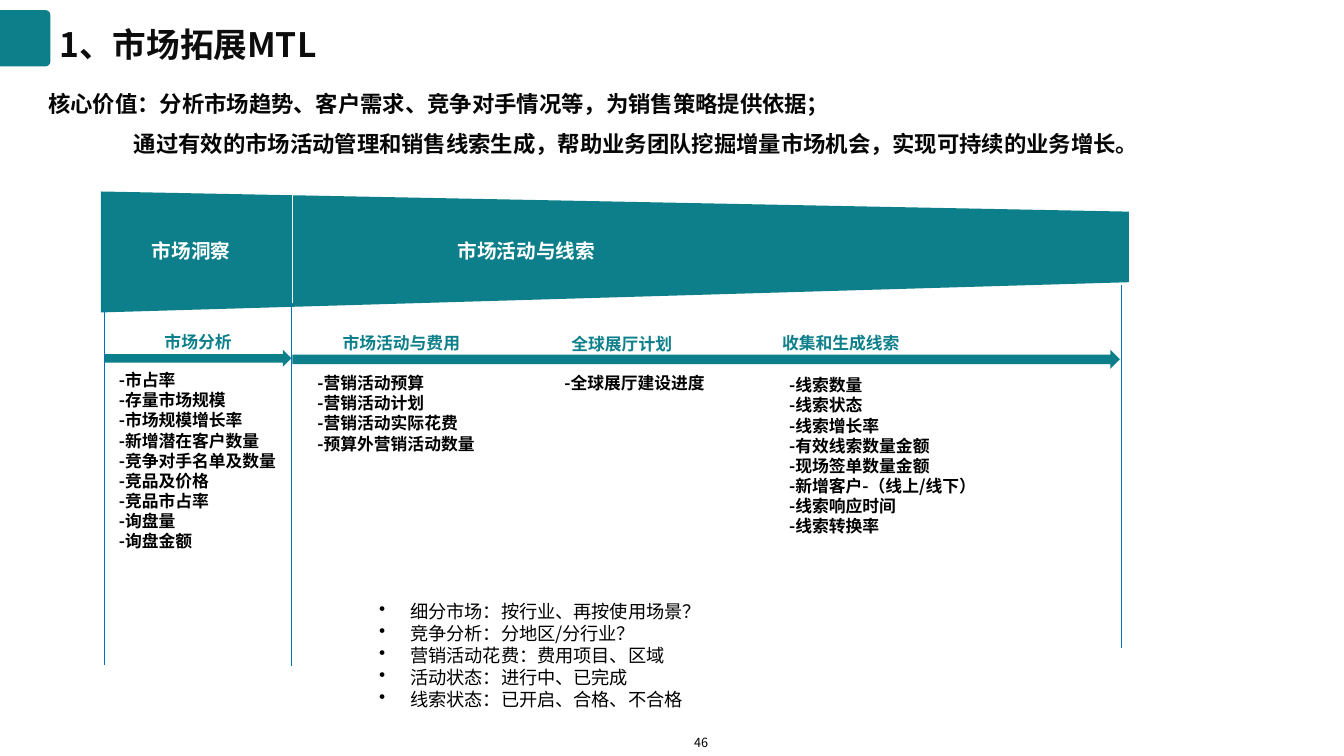
from dataclasses import dataclass, field

from lxml.etree import SubElement
from pptx import Presentation
from pptx.dml.color import RGBColor
from pptx.enum.shapes import MSO_CONNECTOR as Connector, MSO_SHAPE as Preset
from pptx.enum.text import MSO_ANCHOR as Anchor, PP_ALIGN as Align
from pptx.oxml.ns import qn
from pptx.util import Inches, Pt

CELL = Inches(0.1)  # side of one grid cell; all positions count cells
COLUMNS, ROWS = 133.33, 75
FONT = "Noto Sans CJK SC"
TEAL, WHITE, BLACK, BLUE = "0C7F8A", "FFFFFF", "000000", "0070C0"
Area = tuple[float, float, float, float]  # left, top, width, height


@dataclass
class TextBlock:
    area: Area
    lines: list[str]
    size: float
    color: str = BLACK
    bold: bool = True
    para_format: dict = field(default_factory=dict)
    frame_format: dict = field(default_factory=dict)
    indents: tuple[float, ...] = ()
    bullet: str = ""


@dataclass
class Topic:
    title: str
    title_area: Area
    items: list[str]
    items_area: Area
    align: Align = Align.LEFT


@dataclass
class Rule:
    x: float
    top: float
    bottom: float
    color: str = BLUE


NO_MARGINS = dict.fromkeys(
    ("margin_left", "margin_top", "margin_right", "margin_bottom"), 0)

TEXTS = [
    TextBlock((5.9, 1, 116.2, 5.6), ["1、市场拓展MTL"], 24, "0D0D0D",
              para_format={"line_spacing": 1.3},
              frame_format=NO_MARGINS | {"vertical_anchor": Anchor.MIDDLE}),
    TextBlock((3.8, 7.1, 126.9, 9.1),
              ["核心价值：分析市场趋势、客户需求、竞争对手情况等，为销售策略提供依据；",
               "通过有效的市场活动管理和销售线索生成，帮助业务团队挖掘增量市场机会，实现可持续的业务增长。"],
              16, "060607", para_format={"line_spacing": 1.5}, indents=(0, 8.5)),
    TextBlock((14.1, 23.2, 11, 3.4), ["市场洞察"], 14, WHITE),
    TextBlock((44.4, 23.2, 22.2, 3.4), ["市场活动与线索"], 14, WHITE),
    TextBlock((37.6, 59.6, 51.8, 10.9),
              ["细分市场：按行业、再按使用场景？", "竞争分析：分地区/分行业？",
               "营销活动花费：费用项目、区域", "活动状态：进行中、已完成",
               "线索状态：已开启、合格、不合格"],
              13, bold=False, frame_format=NO_MARGINS, bullet="•"),
    TextBlock((66.5, 72.4, 6.1, 2.5), ["46"], 9, bold=False,
              para_format={"alignment": Align.CENTER},
              frame_format={"margin_left": Inches(0.04), "margin_right": Inches(0.04)}),
]

TOPICS = [
    Topic("市场分析", (12.4, 32.4, 14.5, 3),
          ["市占率", "存量市场规模", "市场规模增长率", "新增潜在客户数量",
           "竞争对手名单及数量", "竞品及价格", "竞品市占率", "询盘量", "询盘金额"],
          (10.8, 36.2, 21.1, 19.2), Align.CENTER),
    Topic("市场活动与费用", (33, 32.5, 14.5, 3),
          ["营销活动预算", "营销活动计划", "营销活动实际花费", "预算外营销活动数量"],
          (30.5, 36.5, 20, 9.1)),
    Topic("全球展厅计划", (55.7, 32.6, 14.5, 3), ["全球展厅建设进度"],
          (55, 36.5, 20, 3)),
    Topic("收集和生成线索", (76.6, 32.5, 14.5, 3),
          ["线索数量", "线索状态", "线索增长率", "有效线索数量金额", "现场签单数量金额",
           "新增客户-（线上/线下）", "线索响应时间", "线索转换率"],
          (77.3, 36.7, 21.6, 19.2)),
]

FUNNEL = [(10.4, 18.9), (111.5, 21.3), (111.5, 28.5), (10.4, 30.9)]
ARROWS = [(10.4, 34.7, 18.5, 1.7), (29, 34.7, 82.1, 1.9)]
RULES = [Rule(28.9, 30.1, 66.1), Rule(10.4, 30.9, 66),
         Rule(29, 18.9, 30.1, WHITE), Rule(111.3, 28.3, 64.3)]


def cells(*counts: float) -> list[int]:
    """Turn grid counts into lengths."""
    return [round(count * CELL) for count in counts]


def rgb(color: str) -> RGBColor:
    return RGBColor.from_string(color)


def apply(target, values: dict) -> None:
    for name, value in values.items():
        setattr(target, name, value)


def paint(shape, color: str = TEAL) -> None:
    shape.shadow.inherit = False
    shape.fill.solid()
    shape.fill.fore_color.rgb = rgb(color)
    shape.line.fill.background()


def draw_shape(page, preset: Preset, area: Area):
    shape = page.shapes.add_shape(preset, *cells(*area))
    paint(shape)
    return shape


def draw_funnel(page) -> None:
    builder = page.shapes.build_freeform(*FUNNEL[0], scale=CELL)
    builder.add_line_segments(FUNNEL[1:], close=True)
    paint(builder.convert_to_shape())


def draw_rule(page, rule: Rule) -> None:
    line = page.shapes.add_connector(
        Connector.STRAIGHT, *cells(rule.x, rule.top, rule.x, rule.bottom))
    line.line.color.rgb = rgb(rule.color)
    line.line.width = Pt(0.75)
    SubElement(line._element.spPr, qn("a:effectLst"))


def draw_text(page, block: TextBlock) -> None:
    box = page.shapes.add_textbox(*cells(*block.area))
    frame = box.text_frame
    apply(frame, {"word_wrap": True} | block.frame_format)
    for index, line in enumerate(block.lines):
        para = frame.paragraphs[0] if index == 0 else frame.add_paragraph()
        properties = para._p.get_or_add_pPr()
        if block.bullet:
            properties.set("marL", str(Inches(0.31)))
            properties.set("indent", str(-Inches(0.31)))
            SubElement(properties, qn("a:buChar"), char=block.bullet)
        elif block.indents:
            properties.set("indent", str(cells(block.indents[index])[0]))
        apply(para, block.para_format)
        span = para.add_run()
        span.text = line
        apply(span.font, {"name": FONT, "size": Pt(block.size), "bold": block.bold})
        span.font.color.rgb = rgb(block.color)
        SubElement(span._r.get_or_add_rPr(), qn("a:ea"), typeface=FONT)


def draw_topic(page, topic: Topic) -> None:
    draw_text(page, TextBlock(topic.title_area, [topic.title], 12, TEAL,
                              para_format={"alignment": topic.align}))
    draw_text(page, TextBlock(topic.items_area, [f"-{item}" for item in topic.items], 12))


def main() -> None:
    deck = Presentation()
    deck.slide_width, deck.slide_height = cells(COLUMNS, ROWS)
    page = deck.slides.add_slide(deck.slide_layouts[6])

    corner_tab = draw_shape(page, Preset.ROUND_2_SAME_RECTANGLE, (-0.3, 1.3, 5.6, 5))
    corner_tab.rotation = 90
    corner_tab.adjustments[0] = 0.1

    draw_funnel(page)
    for area in ARROWS:
        draw_shape(page, Preset.RIGHT_ARROW, area)
    for rule in RULES:
        draw_rule(page, rule)
    for block in TEXTS:
        draw_text(page, block)
    for topic in TOPICS:
        draw_topic(page, topic)
    deck.save("out.pptx")


if __name__ == "__main__":
    main()
